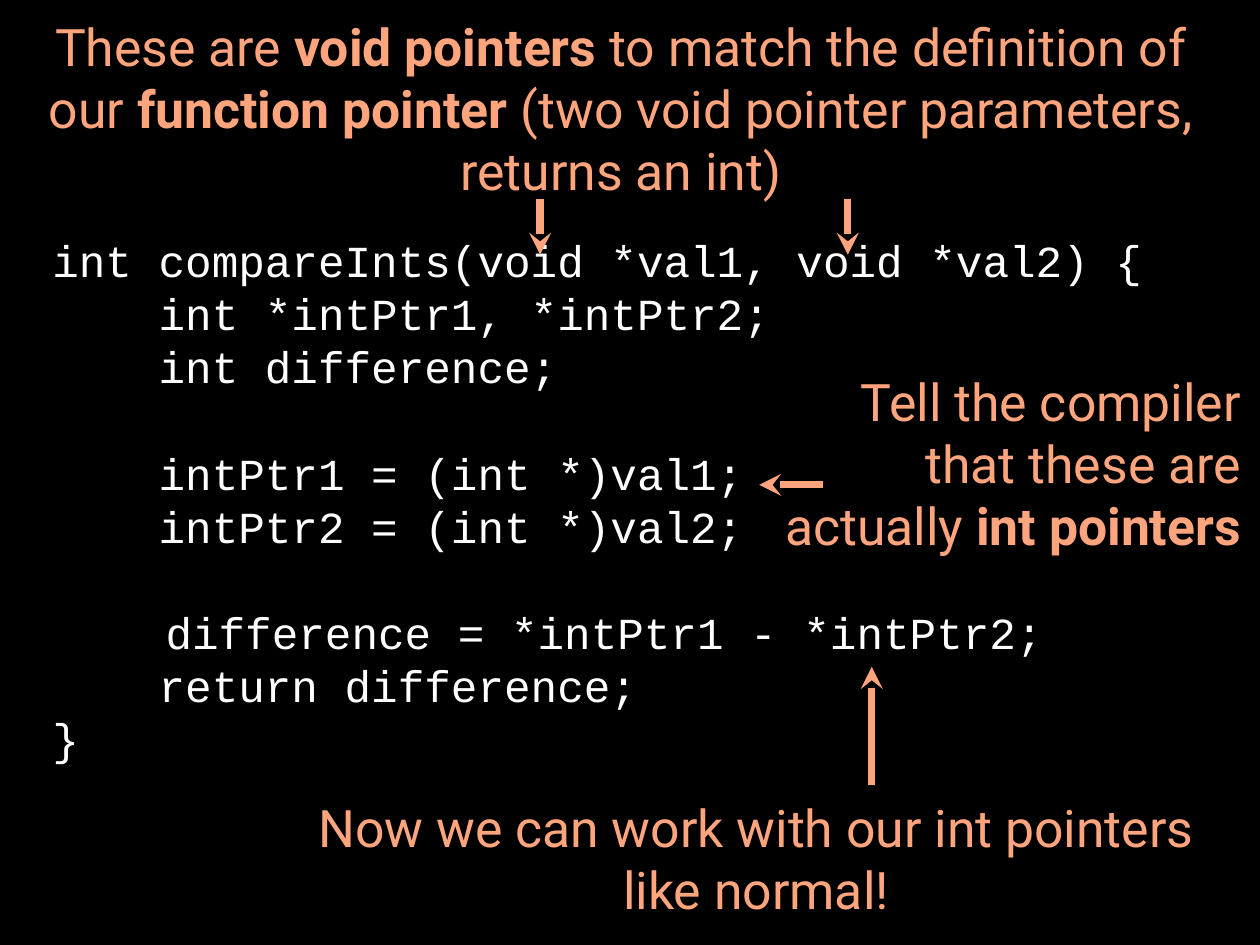
from lxml.etree import SubElement
from pptx import Presentation
from pptx.dml.color import RGBColor
from pptx.enum.shapes import MSO_CONNECTOR
from pptx.enum.text import MSO_ANCHOR, PP_ALIGN
from pptx.oxml.ns import qn
from pptx.util import Pt

COLORS = {"background": "000000", "code": "FFFFFF", "note": "FFA57D"}
CODE_SIZE, NOTE_SIZE = 36, 42
LINE_FACTOR = 1.2
CODE_INDENT = 86.4  # four monospaced characters

# (text, left indent, blank lines above)
CODE_LINES = [
    ("int compareInts(void *val1, void *val2) {", 0, 0),
    ("int *intPtr1, *intPtr2;", CODE_INDENT, 0),
    ("int difference;", CODE_INDENT, 0),
    ("intPtr1 = (int *)val1;", CODE_INDENT, 1),
    ("intPtr2 = (int *)val2;", CODE_INDENT, 0),
    ("difference = *intPtr1 - *intPtr2;", 92, 1),
    ("return difference;", CODE_INDENT, 0),
    ("}", 0, 0),
]

# (left, top, width, height), alignment, [(text, bold)]
NOTES = [
    ((21, 7, 967, 161), PP_ALIGN.CENTER, [
        ("These are ", False), ("void pointers", True),
        (" to match the definition of our ", False),
        ("function pointer ", True),
        ("(two void pointer parameters, returns an int)", False)]),
    ((633, 296, 380, 160), PP_ALIGN.RIGHT, [
        ("Tell the compiler that these are actually ", False),
        ("int pointers", True)]),
    ((249, 643, 731, 109), PP_ALIGN.CENTER, [
        ("Now we can work with our int pointers like normal!", False)]),
]

# (tip x, tip y, tail x, tail y)
ARROWS = [
    (439, 207, 439, 162),
    (689, 207, 689, 162),
    (617, 394, 669, 394),
    (708.5, 542, 708.5, 638),
]


def color(name):
    """Return the named palette colour."""
    return RGBColor.from_string(COLORS[name])


def add_text_frame(slide, box):
    """Add a wrapping, vertically centred text box and return its frame."""
    frame = slide.shapes.add_textbox(*map(Pt, box)).text_frame
    frame.word_wrap = True
    frame.vertical_anchor = MSO_ANCHOR.MIDDLE
    frame.margin_left = frame.margin_right = Pt(4.5)
    frame.margin_top = frame.margin_bottom = Pt(4.5)
    return frame


def style_paragraph(paragraph, font_name, size, color_name):
    """Set the font and line height of a paragraph."""
    paragraph.font.name = font_name
    paragraph.font.size = Pt(size)
    paragraph.font.color.rgb = color(color_name)
    paragraph.line_spacing = Pt(size * LINE_FACTOR)


def add_code(slide, box, lines):
    """Add the listing, one paragraph per line of code."""
    frame = add_text_frame(slide, box)
    for number, (text, indent, blank_lines) in enumerate(lines):
        line = frame.add_paragraph() if number else frame.paragraphs[0]
        line.text = text
        style_paragraph(line, "Courier New", CODE_SIZE, "code")
        line.space_before = Pt(blank_lines * CODE_SIZE * LINE_FACTOR)
        line._p.get_or_add_pPr().set("marL", str(Pt(indent)))


def add_note(slide, box, alignment, phrases):
    """Add an explanation with its key terms in bold."""
    note = add_text_frame(slide, box).paragraphs[0]
    note.alignment = alignment
    style_paragraph(note, "Roboto", NOTE_SIZE, "note")
    for text, bold in phrases:
        phrase = note.add_run()
        phrase.text = text
        phrase.font.bold = bold


def add_arrow(slide, ends):
    """Add a thick arrow whose head is at its first point."""
    arrow = slide.shapes.add_connector(MSO_CONNECTOR.STRAIGHT, *map(Pt, ends))
    arrow.line.color.rgb = color("note")
    arrow.line.width = Pt(6)
    SubElement(arrow.line._get_or_add_ln(), qn("a:headEnd"), type="stealth")
    SubElement(arrow._element.spPr, qn("a:effectLst"))


def main():
    """Build the slide and save it."""
    presentation = Presentation()
    presentation.slide_width, presentation.slide_height = Pt(1024), Pt(768)
    slide = presentation.slides.add_slide(presentation.slide_layouts[6])
    slide.background.fill.solid()
    slide.background.fill.fore_color.rgb = color("background")

    add_code(slide, (38, 185, 947, 441), CODE_LINES)
    for box, alignment, phrases in NOTES:
        add_note(slide, box, alignment, phrases)
    for ends in ARROWS:
        add_arrow(slide, ends)
    presentation.save("out.pptx")


main()
